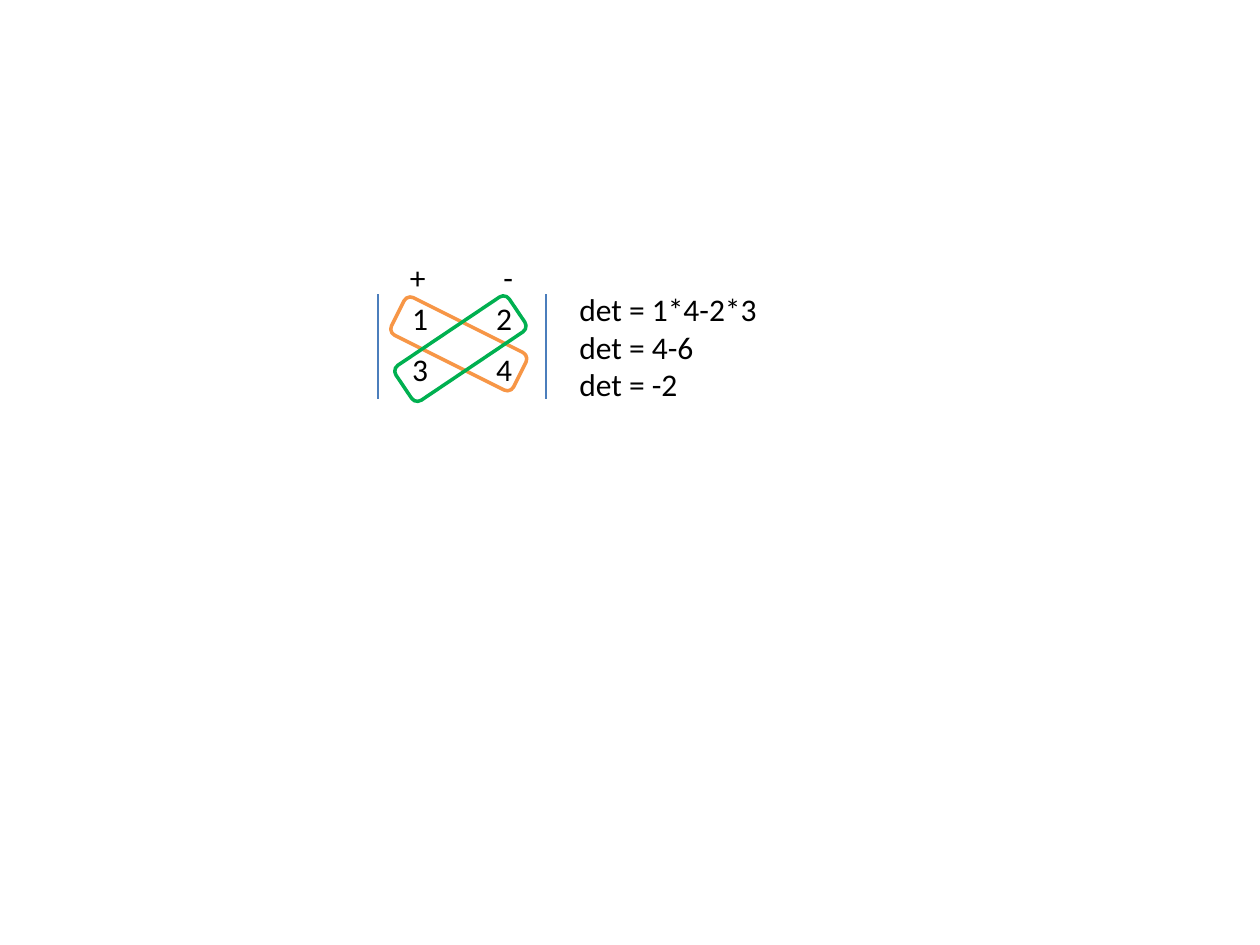
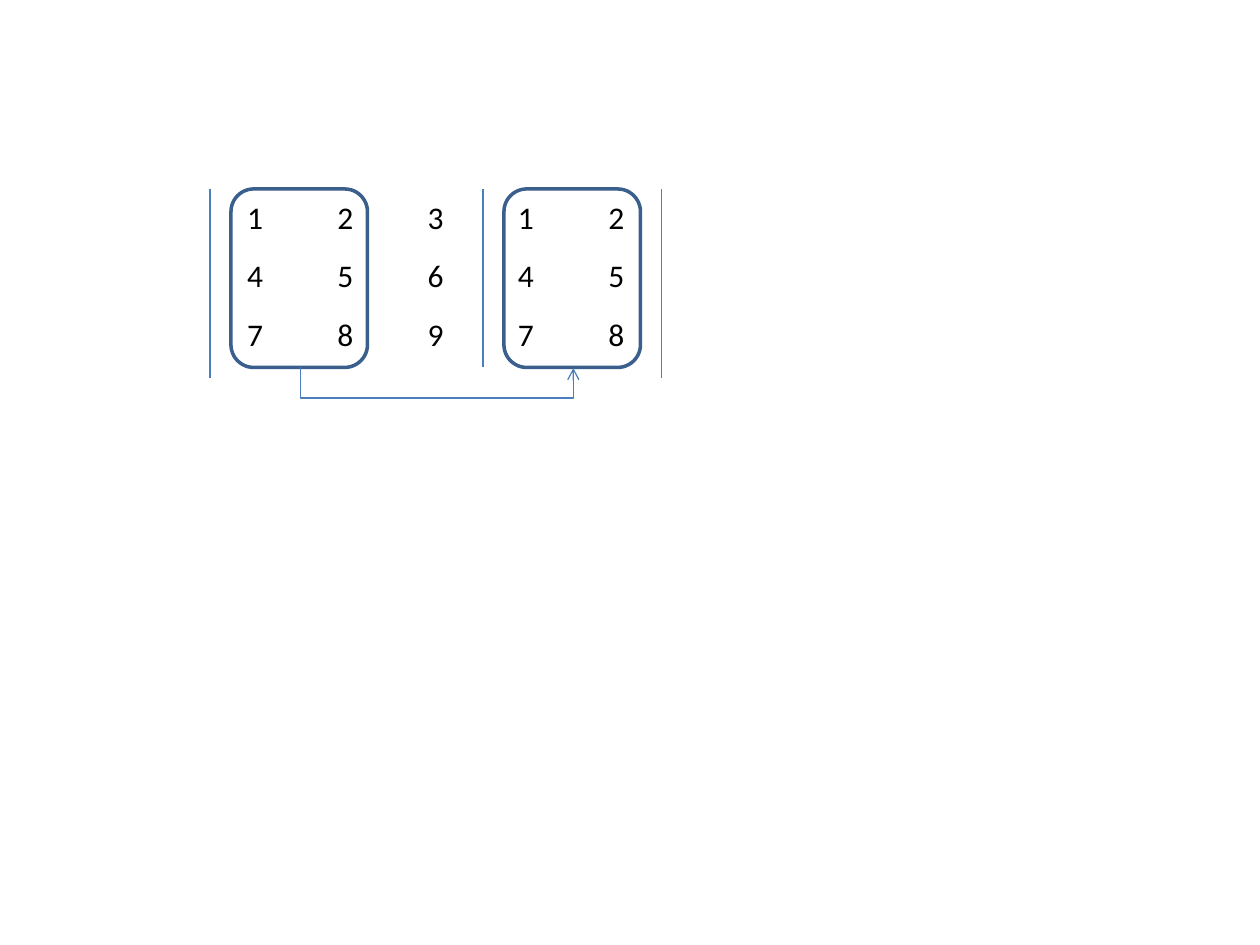
"""Draw the determinant rules for 2 x 2 and 3 x 3 matrices."""
from typing import NamedTuple

from lxml.etree import SubElement as Sub
from pptx import Presentation
from pptx.dml.color import RGBColor
from pptx.enum.shapes import MSO_CONNECTOR as Link, MSO_SHAPE as Form
from pptx.enum.text import PP_ALIGN as Align
from pptx.oxml.ns import qn
from pptx.util import Inches, Pt

BLACK = RGBColor(0x00, 0x00, 0x00)
ORANGE = RGBColor(0xF7, 0x96, 0x46)
GREEN = RGBColor(0x00, 0xB0, 0x50)
BLUE = RGBColor(0x4B, 0x7E, 0xBC)
NAVY = RGBColor(0x3A, 0x5F, 0x8C)

WIDE, HIGH = Inches(10), Inches(7.5)
COLS, ROWS = 120, 90
PLAIN = "{2D5ABB26-0587-4C30-8999-92F81FD0307C}"
FONT = {"name": "Calibri", "size": Pt(18), "bold": False}
FLAGS = {"first_row": False, "horz_banding": False}


class Area(NamedTuple):
    col: float
    row: float
    cols: float
    rows: float


class Ring(NamedTuple):
    area: Area
    color: RGBColor
    turn: float = 0


class Bar(NamedTuple):
    col: float
    top: float
    end: float


def across(n: float) -> int:
    return round(WIDE * n / COLS)


def down(n: float) -> int:
    return round(HIGH * n / ROWS)


def place(area: Area) -> tuple:
    return across(area.col), down(area.row), across(area.cols), down(area.rows)


def style(item, values: dict) -> None:
    for key, value in values.items():
        setattr(item, key, value)


def ink(font) -> None:
    style(font, FONT)
    font.color.rgb = BLACK


def matrix(slide, area: Area, data: list) -> None:
    table = slide.shapes.add_table(len(data), len(data[0]), *place(area)).table
    style(table, FLAGS)
    table._tbl.tblPr.find(qn("a:tableStyleId")).text = PLAIN
    for r, row in enumerate(data):
        for c, value in enumerate(row):
            cell = table.cell(r, c)
            cell.fill.background()
            cell.text = str(value)
            para = cell.text_frame.paragraphs[0]
            para.alignment = Align.CENTER
            ink(para.runs[0].font)


def ring(slide, item: Ring) -> None:
    shape = slide.shapes.add_shape(Form.ROUNDED_RECTANGLE, *place(item.area))
    shape.shadow.inherit = False
    shape.fill.background()
    shape.line.color.rgb = item.color
    shape.line.width = Pt(2)
    shape.rotation = item.turn


def link(slide, kind, x: float, y: float, to_x: float, to_y: float):
    line = slide.shapes.add_connector(kind, across(x), down(y), across(to_x), down(to_y))
    line.line.color.rgb = BLUE
    line.line.width = Pt(0.75)
    Sub(line._element.spPr, qn("a:effectLst"))
    return line


def bar(slide, item: Bar) -> None:
    link(slide, Link.STRAIGHT, item.col, item.end, item.col, item.top)


def bend(slide, x: float, to_x: float, y: float, drop: float) -> None:
    mid, half, gap = (x + to_x) / 2, (to_x - x) / 2, 0.12
    line = link(slide, Link.ELBOW, mid + gap / 2, y - half, mid - gap / 2, y + half)
    props = line._element.spPr
    props.find(qn("a:xfrm")).set("rot", str(270 * 60000))
    geom = props.find(qn("a:prstGeom"))
    guide = geom.find(qn("a:avLst"))
    if guide is None:
        guide = Sub(geom, qn("a:avLst"))
    Sub(guide, qn("a:gd"), name="adj1", fmla=f"val {round(drop / gap * 100000)}")
    Sub(props.find(qn("a:ln")), qn("a:tailEnd"), type="arrow")


def note(slide, area: Area, lines: list, tab: float = 0) -> None:
    frame = slide.shapes.add_textbox(*place(area)).text_frame
    frame.word_wrap = True
    frame.text = "\n".join(lines)
    for para in frame.paragraphs:
        if tab:
            stops = Sub(para._p.get_or_add_pPr(), qn("a:tabLst"))
            Sub(stops, qn("a:tab"), pos=str(across(tab)), algn="l")
        ink(para.runs[0].font)


def small(slide) -> None:
    matrix(slide, Area(36, 28, 16, 9.72), [[1, 2], [3, 4]])
    ring(slide, Ring(Area(37.2, 30.75, 13, 4), ORANGE, 26.6))
    ring(slide, Ring(Area(37.35, 31.2, 13, 4), GREEN, 326.1))
    note(slide, Area(37.85, 24, 14.15, 5), ["+\t-"], 8.9)
    note(slide, Area(54, 27, 23, 12.1), ["det = 1*4-2*3", "det = 4-6", "det = -2"])
    for col in (36, 52):
        bar(slide, Bar(col, 28, 38))


def large(slide) -> None:
    rows = [[n, n + 1, n + 2, n, n + 1] for n in (1, 4, 7)]
    matrix(slide, Area(20, 18.4, 43, 16.7), rows)
    for col in (22, 48):
        ring(slide, Ring(Area(col, 18, 13, 17), NAVY))
    for item in (Bar(46, 18, 35), Bar(20, 18, 36), Bar(63, 18, 36)):
        bar(slide, item)
    bend(slide, 28.6, 54.6, 35, 3)


def main() -> None:
    deck = Presentation()
    style(deck, {"slide_width": WIDE, "slide_height": HIGH})
    for draw in (small, large):
        draw(deck.slides.add_slide(deck.slide_layouts[6]))
    deck.save("out.pptx")


if __name__ == "__main__":
    main()
